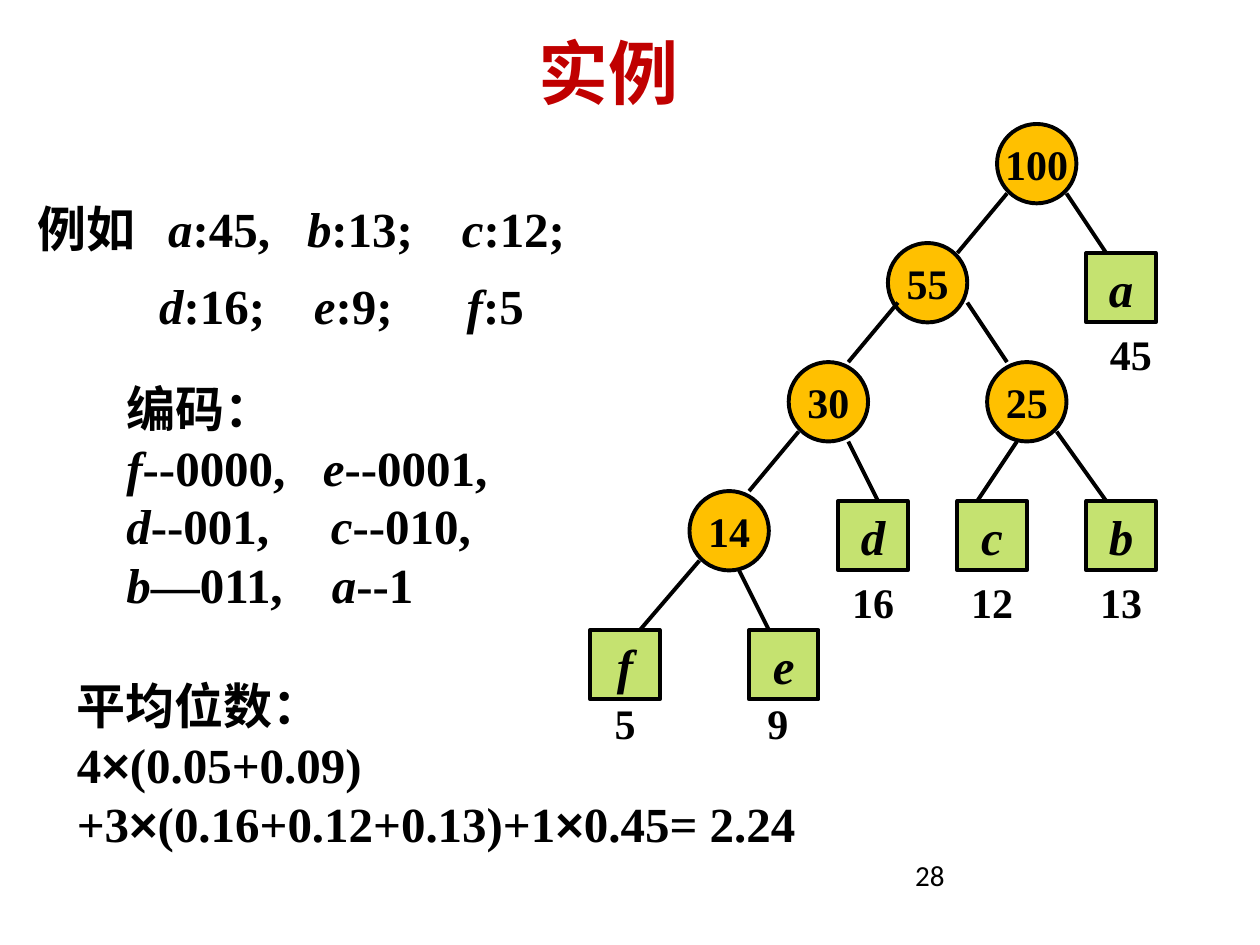
from dataclasses import dataclass, field
from itertools import groupby

from lxml.etree import SubElement
from pptx import Presentation
from pptx.dml.color import RGBColor
from pptx.enum.shapes import MSO_CONNECTOR as Link, MSO_SHAPE as Form
from pptx.enum.text import MSO_ANCHOR as Anchor, PP_ALIGN as Align
from pptx.oxml.ns import qn
from pptx.util import Mm, Pt

COLUMNS, ROWS = 127, 95.25


def cells(count):
    """Turn a count of 2 mm grid cells into a length."""
    return Mm(2 * count)


@dataclass(frozen=True)
class Theme:
    """Colours, fonts and type sizes."""
    ink: RGBColor = RGBColor(0, 0, 0)
    title: RGBColor = RGBColor(0xC0, 0, 0)
    node: RGBColor = RGBColor(0xFF, 0xC0, 0)
    leaf: RGBColor = RGBColor(0x99, 0xCC, 0)
    leaf_opacity: int = 56
    stroke: float = 2.25
    serif: str = "Times New Roman"
    sans: str = "Arial"
    plain: str = "Calibri"
    title_size: float = 40
    body_size: float = 28
    weight_size: float = 24
    number_size: float = 16.6


THEME = Theme()


@dataclass(frozen=True)
class Box:
    """A rectangle measured in grid cells."""
    left: float
    top: float
    width: float
    height: float

    def inner(self, left, top, width, height):
        """Return a rectangle placed from this one's top left corner."""
        return Box(self.left + left, self.top + top, width, height)

    def lengths(self):
        """Return the four measures as lengths."""
        return [cells(n) for n in (self.left, self.top, self.width, self.height)]


@dataclass(frozen=True)
class Line:
    """One paragraph, with *italic* marks and tab stops in cells."""
    text: str
    tabs: tuple = ()
    face: dict = field(default_factory=dict)


def apply(target, values):
    """Set each named value on the target."""
    for name, value in values.items():
        setattr(target, name, value)


def write_line(para, line, face, layout):
    """Write one line into a paragraph."""
    apply(para, layout)
    if line.tabs:
        stops = SubElement(para._p.get_or_add_pPr(), qn("a:tabLst"))
        for stop in line.tabs:
            SubElement(stops, qn("a:tab"), pos=str(cells(stop)), algn="l")
    for order, part in enumerate(line.text.split("*")):
        for is_times, letters in groupby(part, lambda letter: letter == "×"):
            span = para.add_run()
            span.text = "".join(letters)
            style = {"name": THEME.serif, "size": Pt(THEME.body_size), "bold": True,
                     "italic": order % 2 == 1} | face | line.face
            if is_times:
                style["name"] = THEME.sans
            color = style.pop("color", THEME.ink)
            apply(span.font, style)
            span.font.color.rgb = color


def fill_text(shape, lines, face=None, layout=None, frame=None):
    """Write all lines into the text frame of a shape."""
    text = shape.text_frame
    apply(text, {"word_wrap": True} | (frame or {}))
    for order, line in enumerate(lines):
        para = text.add_paragraph() if order else text.paragraphs[0]
        write_line(para, line, face or {}, layout or {})


def add_text(page, box, lines, **formats):
    """Place a text box."""
    fill_text(page.shapes.add_textbox(*box.lengths()), lines, **formats)


def add_mark(page, box, form, color, text, size):
    """Place one outlined shape of the tree with its centred name."""
    shape = page.shapes.add_shape(form, *box.lengths())
    shape.shadow.inherit = False
    shape.fill.solid()
    shape.fill.fore_color.rgb = color
    shape.line.color.rgb = THEME.ink
    shape.line.width = Pt(THEME.stroke)
    fill_text(shape, [Line(text)], {"size": Pt(size)}, {"alignment": Align.CENTER},
              {"word_wrap": False, "vertical_anchor": Anchor.MIDDLE})
    return shape


def add_node(page, box, weight):
    """Place an inner node."""
    add_mark(page, box, Form.OVAL, THEME.node, weight, THEME.weight_size)


def add_leaf(page, box, name, weight, shift):
    """Place a leaf with its weight below."""
    shape = add_mark(page, box, Form.RECTANGLE, THEME.leaf, f"*{name}*", THEME.body_size)
    tint = shape._element.spPr.find(qn("a:solidFill"))[0]
    SubElement(tint, qn("a:alpha"), val=str(THEME.leaf_opacity * 1000))
    label = box.inner(shift[0], box.height + shift[1], box.width, 6.35)
    add_text(page, label, [Line(weight)], face={"size": Pt(THEME.weight_size)},
             layout={"alignment": Align.CENTER}, frame={"word_wrap": False})


def add_edge(page, box, start_x, start_y, end_x, end_y):
    """Draw one branch between two points of the tree's box."""
    edge = page.shapes.add_connector(
        Link.STRAIGHT, cells(box.left + start_x), cells(box.top + start_y),
        cells(box.left + end_x), cells(box.top + end_y))
    edge.line.color.rgb = THEME.ink
    edge.line.width = Pt(THEME.stroke)
    SubElement(edge._element.spPr, qn("a:effectLst"))


def add_tree(page, box):
    """Draw the code tree."""
    node_side, leaf_side = 8, 7
    nodes = {"100": (41, 0), "55": (30, 12), "30": (20, 24), "25": (40, 24), "14": (10, 37)}
    leaves = [("f", "5", 0, 51, (0, -0.8)), ("e", "9", 16, 51, (-0.6, -0.8)),
              ("d", "16", 25, 38, (0, 0)), ("c", "12", 37, 38, (0, 0)),
              ("b", "13", 50, 38, (0, 0)), ("a", "45", 50, 13, (1, 0))]
    edges = [(42, 7, 37, 13), (48, 7, 52, 13), (31, 18, 26, 24), (38, 18, 42, 24),
             (21, 31, 16, 37), (26, 32, 29, 38), (43, 32, 39, 38), (47, 31, 52, 38),
             (11, 44, 5, 51), (15, 45, 18, 51)]
    for weight, place in nodes.items():
        add_node(page, box.inner(*place, node_side, node_side), weight)
    for edge in edges:
        add_edge(page, box, *edge)
    for name, weight, left, top, shift in leaves:
        add_leaf(page, box.inner(left, top, leaf_side, leaf_side), name, weight, shift)


def add_title(page, box):
    """Place the heading."""
    add_text(page, box, [Line("实例")],
             face={"name": THEME.plain, "size": Pt(THEME.title_size), "color": THEME.title},
             layout={"alignment": Align.CENTER}, frame={"vertical_anchor": Anchor.MIDDLE})


def add_frequencies(page, box):
    """Place the list of letter frequencies."""
    add_text(page, box, [
        Line("例如\t*a*:45,\t*b*:13;\t*c*:12;", (13.2, 27.2, 42.8)),
        Line("\t*d*:16;\t*e*:9;\t*f*:5", (12.3, 27.9, 43.3))], layout={"line_spacing": 1.3})


def add_codes(page, box):
    """Place the code words."""
    add_text(page, box, [
        Line("编码：", face={"name": THEME.sans}),
        Line("*f*--0000,\t*e*--0001,", (19.8,)),
        Line("*d*--001,\t*c*--010,", (20.6,)),
        Line("*b*—011,\t*a*--1", (20.7,))])


def add_average(page, box):
    """Place the mean code length."""
    add_text(page, box, [Line("平均位数："), Line("4×(0.05+0.09)"),
                         Line("+3×(0.16+0.12+0.13)+1×0.45= 2.24")],
             layout={"alignment": Align.JUSTIFY})


def add_page_number(page, box):
    """Place the page number."""
    add_text(page, box, [Line("28")], layout={"line_spacing": 0.9},
             face={"name": THEME.plain, "size": Pt(THEME.number_size), "bold": False})


def main():
    """Build the deck."""
    deck = Presentation()
    apply(deck, {"slide_width": cells(COLUMNS), "slide_height": cells(ROWS)})
    page = deck.slides.add_slide(deck.slide_layouts[6])
    add_page_number(page, Box(91, 86.25, 29.5, 5))
    add_frequencies(page, Box(2.5, 17.65, 63, 24.4))
    add_average(page, Box(6.5, 67.5, 97, 19))
    add_codes(page, Box(11.5, 37.5, 50, 25))
    add_tree(page, Box(59.5, 12.5, 57, 65))
    add_title(page, Box(6.5, 3.7, 109.7, 7))
    deck.save("out.pptx")


if __name__ == "__main__":
    main()
